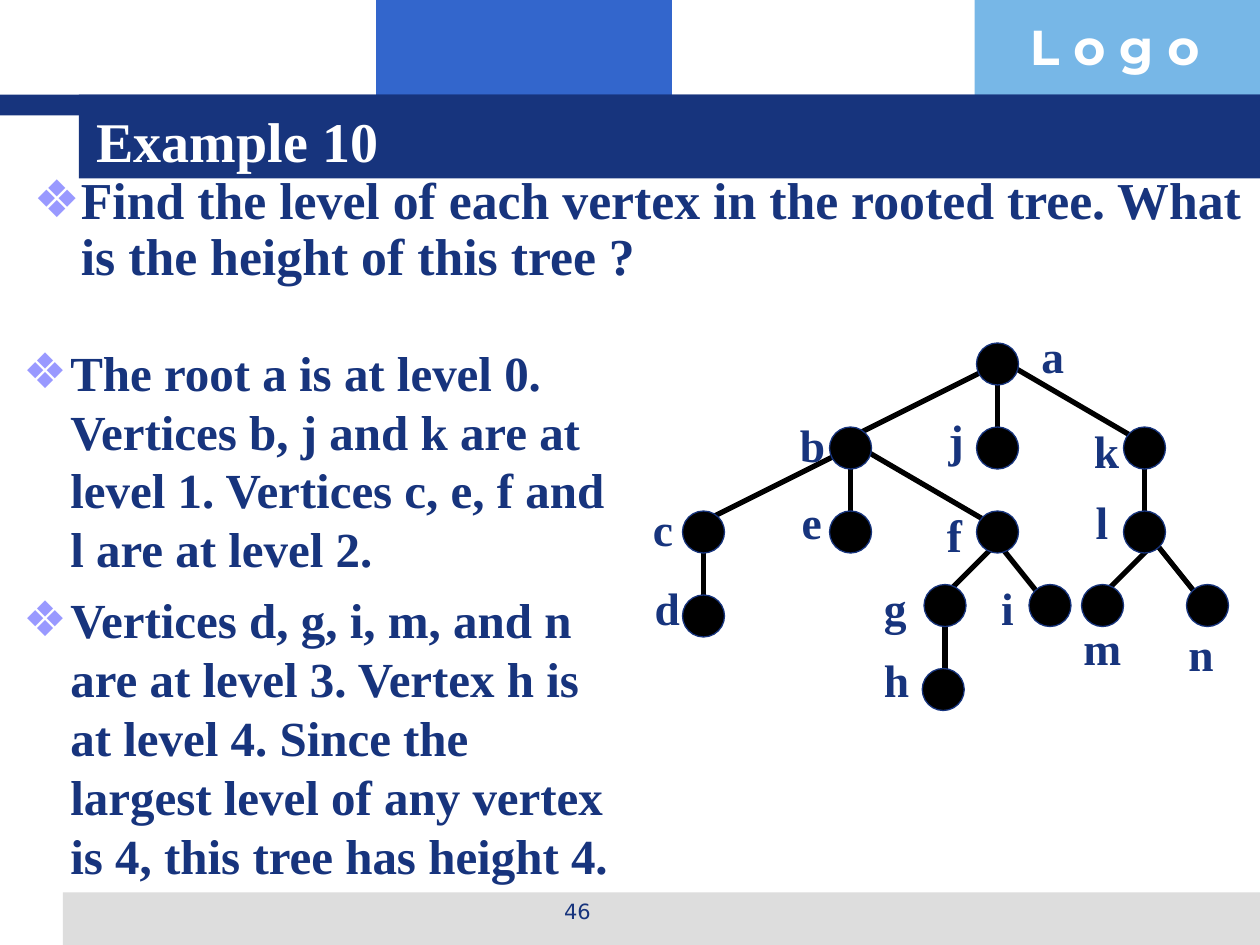
from dataclasses import dataclass
from lxml import etree
from pptx import Presentation
from pptx.dml.color import RGBColor
from pptx.enum.shapes import MSO_CONNECTOR, MSO_SHAPE
from pptx.enum.text import MSO_ANCHOR, MSO_AUTO_SIZE, PP_ALIGN
from pptx.oxml.ns import qn
from pptx.util import Pt

RECT, OVAL = MSO_SHAPE.RECTANGLE, MSO_SHAPE.OVAL
LINE = MSO_CONNECTOR.STRAIGHT
LEFT, MID = PP_ALIGN.LEFT, PP_ALIGN.CENTER
TOP, CENTRE = MSO_ANCHOR.TOP, MSO_ANCHOR.MIDDLE
FIXED = MSO_AUTO_SIZE.NONE
SERIF = "Times New Roman"


@dataclass(frozen=True)
class Theme:
    navy: str = "17347D"
    blue: str = "3366CC"
    sky: str = "77B7E7"
    grey: str = "DDDDDD"
    white: str = "FFFFFF"
    black: str = "000000"
    bullet: str = "9999FF"
    logo: float = 28
    title: float = 32
    task: float = 29.6
    answer: float = 28
    label: float = 26
    page: float = 12


THEME = Theme()

NODES = {
    "a": (180, 12, 18, -24, 27),
    "b": (96, 60, -36, -21, 29),
    "j": (180, 60, -35, -24, 23),
    "k": (264, 60, -36, -18, 29),
    "c": (12, 108, -36, -21, 26),
    "e": (96, 108, -35, -25, 26),
    "f": (180, 108, -36, -18, 23),
    "l": (264, 108, -35, -25, 22),
    "d": (12, 156, -35, -24, 29),
    "g": (150, 150, -42, -18, 27),
    "i": (210, 150, -35, -18, 22),
    "m": (240, 150, -18, 5, 36),
    "n": (300, 150, -18, 8, 29),
    "h": (149, 198, -41, -25, 29),
}
ROUTES = {
    "down": (0, 12, 0, 42),
    "left": (0, 0, -84, 42),
    "right": (6, 0, 72, 42),
    "west": (0, 6, -30, 30),
    "east": (0, 6, 24, 30),
    "west_l": (6, 6, -30, 30),
    "east_l": (6, 6, 24, 30),
}
EDGES = {
    "a": ("left", "right", "down"),
    "b": ("left", "right", "down"),
    "c": ("down",),
    "k": ("down",),
    "f": ("west", "east"),
    "g": ("down",),
    "l": ("west_l", "east_l"),
}


def paint(part, values):
    for name, value in values.items():
        setattr(part, name, value)


def place(shape, box):
    names = ("left", "top", "width", "height")
    paint(shape, dict(zip(names, map(Pt, box))))


def write(para, text, size, color, face=SERIF, bold=True):
    run = para.add_run()
    run.text = text
    paint(run.font, {"size": Pt(size), "name": face, "bold": bold})
    run.font.color.rgb = RGBColor.from_string(color)


def add_block(shapes, kind, box, fill, line=None):
    shape = shapes.add_shape(kind, *map(Pt, box))
    shape.shadow.inherit = False
    shape.fill.solid()
    shape.fill.fore_color.rgb = RGBColor.from_string(fill)
    if line:
        shape.line.color.rgb = RGBColor.from_string(line)
        shape.line.width = Pt(0.75)
    else:
        shape.line.fill.background()


def add_text(shapes, box, text, size, color, align=LEFT, wrap=True, **style):
    frame = shapes.add_textbox(*map(Pt, box)).text_frame
    frame.word_wrap = wrap
    frame.paragraphs[0].alignment = align
    write(frame.paragraphs[0], text, size, color, **style)


def add_frame(shapes, box):
    x, y, w, h = box
    bars = [
        ((215, 0, 169, 66), THEME.blue),
        ((557, 0, 163, 66), THEME.sky),
        ((36, 510, w - 36, 30), THEME.grey),
        ((0, 54, w, 12), THEME.navy),
        ((45, 54, w - 45, 48), THEME.navy),
    ]
    for (left, top, wide, high), fill in bars:
        add_block(shapes, RECT, (x + left, y + top, wide, high), fill)
    add_text(shapes, (x + 581.5, y + 6, 138.5, 41), "L o g o",
             THEME.logo, THEME.white, face="Montserrat")
    add_text(shapes, (x + 246, y + 510, 168, 25), "46", THEME.page,
             THEME.navy, align=MID, face="DejaVu Sans", bold=False)


def raise_holder(holder, box, anchor):
    holder.element.getparent().append(holder.element)
    place(holder, box)
    paint(holder.text_frame, {"word_wrap": True, "auto_size": FIXED,
                              "vertical_anchor": anchor})
    return holder.text_frame


def fill_title(holder, box, text):
    para = raise_holder(holder, box, CENTRE).paragraphs[0]
    para.alignment = LEFT
    write(para, text, THEME.title, THEME.white)


def add_bullet(para):
    props = para._p.get_or_add_pPr()
    indent = Pt(27)
    props.set("marL", str(indent))
    props.set("indent", str(-indent))
    color = etree.SubElement(props, qn("a:buClr"))
    etree.SubElement(color, qn("a:srgbClr"), val=THEME.bullet)
    etree.SubElement(props, qn("a:buChar"), char="❖")


def fill_list(holder, box, items, size, gap=0, pitch=1.0):
    frame = raise_holder(holder, box, TOP)
    for index, text in enumerate(items):
        para = frame.add_paragraph() if index else frame.paragraphs[0]
        add_bullet(para)
        paint(para, {"alignment": LEFT, "line_spacing": pitch,
                     "space_before": Pt(gap if index else 0)})
        write(para, text, size, THEME.navy)


def add_edge(shapes, x, y, dx, dy):
    edge = shapes.add_connector(LINE, *map(Pt, (x, y, x + dx, y + dy)))
    edge.line.color.rgb = RGBColor.from_string(THEME.black)
    edge.line.width = Pt(3)
    etree.SubElement(edge.element.spPr, qn("a:effectLst"))


def add_tree(shapes, box):
    left, top, size = box
    parts = shapes.add_group_shape().shapes
    for name, routes in EDGES.items():
        x, y = NODES[name][:2]
        for route in routes:
            sx, sy, dx, dy = ROUTES[route]
            add_edge(parts, left + x + sx, top + y + sy, dx, dy)
    for name, (x, y, dx, dy, wide) in NODES.items():
        x, y = left + x, top + y
        add_block(parts, OVAL, (x - size / 2, y - size / 2, size, size),
                  THEME.black, THEME.navy)
        add_text(parts, (x + dx, y + dy, wide, 39), name,
                 THEME.label, THEME.navy, wrap=False)


def main():
    deck = Presentation()
    paint(deck, {"slide_width": Pt(720), "slide_height": Pt(540)})
    slide = deck.slides.add_slide(deck.slide_layouts[3])
    title, task, answer = slide.placeholders
    add_frame(slide.shapes, (0, 0, 720, 540))
    fill_title(title, (48, 57.5, 648, 45), "Example 10")
    fill_list(task, (12, 96, 708, 84), [
        "Find the level of each vertex in the rooted tree. "
        "What is the height of this tree ?",
    ], THEME.task, pitch=0.9)
    add_tree(slide.shapes, (390, 196, 24))
    fill_list(answer, (6, 192, 354, 318), [
        "The root a is at level 0. Vertices b, j and k are at level 1. "
        "Vertices c, e, f and l are at level 2.",
        "Vertices d, g, i, m, and n are at level 3. Vertex h is at level 4. "
        "Since the largest level of any vertex is 4, this tree has height 4.",
    ], THEME.answer, gap=7)
    deck.save("out.pptx")


if __name__ == "__main__":
    main()
